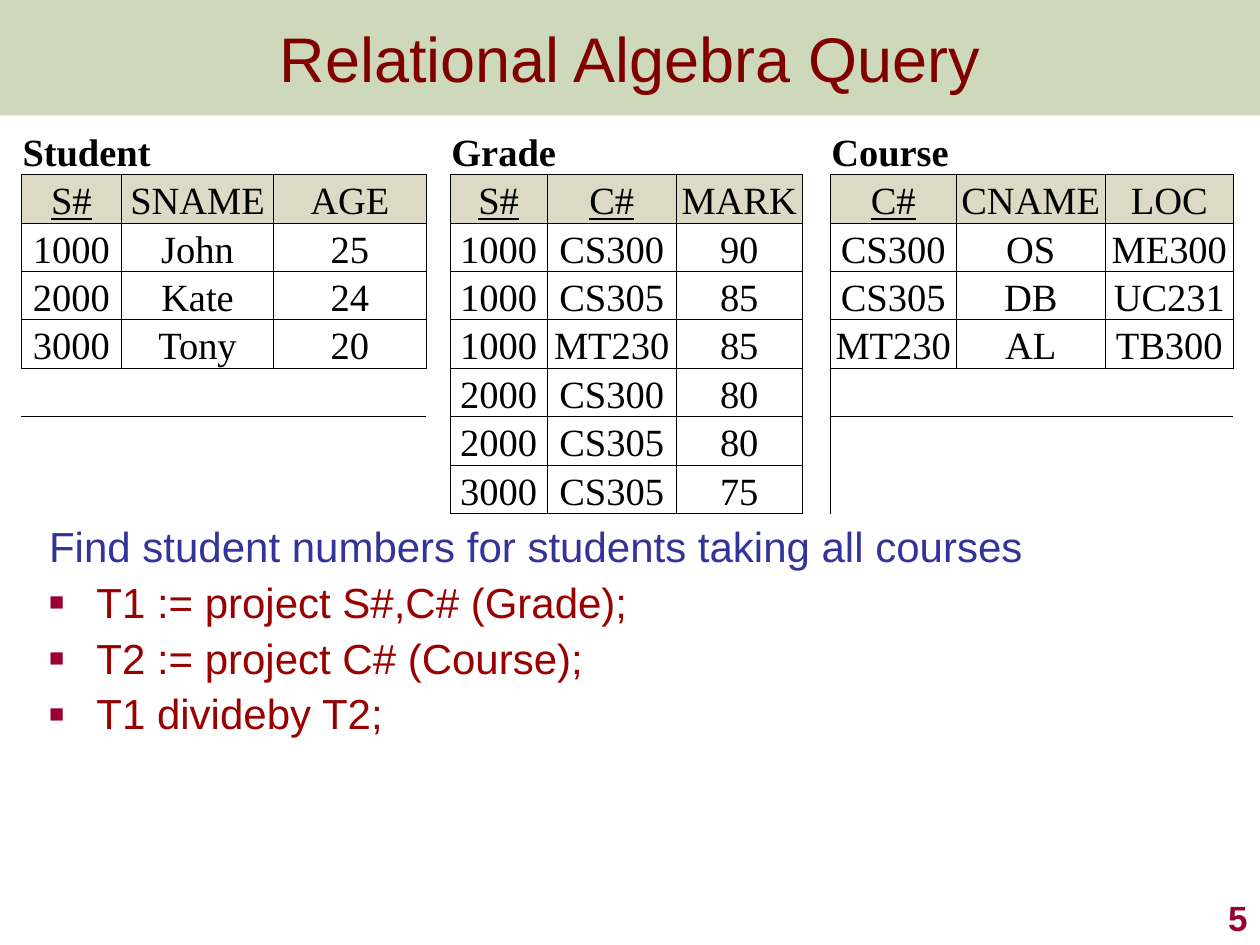
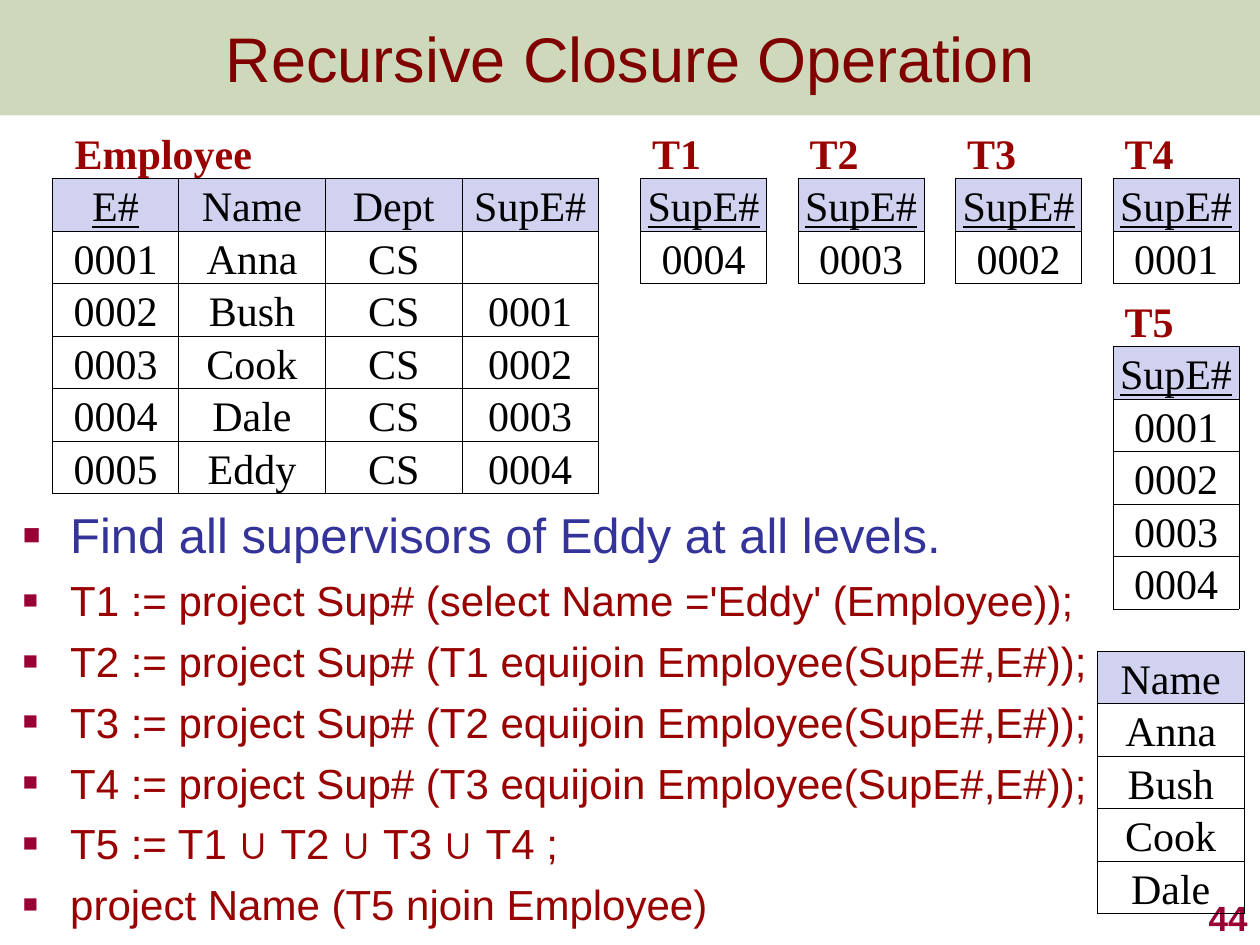
from dataclasses import dataclass

from pptx import Presentation
from pptx.dml.color import RGBColor
from pptx.enum import shapes, text
from pptx.oxml import ns, xmlchemy
from pptx.util import Pt

# Shared look
SANS, SERIF = "Arial", "Times New Roman"
BLACK, NAVY, DARK_RED = "000000", "333399", "990000"
TITLE_RED, ACCENT, BAND_GREEN = "800000", "990033", "5F8422"
BAND_OPACITY = 30
PLAIN_STYLE = "{2D5ABB26-0587-4C30-8999-92F81FD0307C}"
SIDES = {"lnL": (0, -1), "lnR": (0, 1), "lnT": (-1, 0), "lnB": (1, 0)}
HANGING = 27


@dataclass
class Relation:
    """A named relation: its header and tuples, with leading key columns."""
    label: str
    widths: list
    rows: list
    keys: int = 1


@dataclass
class Look:
    size: float
    row_height: float
    header_fill: str
    label_color: str
    label_indent: float = 0


def rgb(hex_color):
    return RGBColor.from_string(hex_color)


def add_xml(parent, tag, **attributes):
    child = xmlchemy.OxmlElement(tag)
    for key, value in attributes.items():
        child.set(key, str(value))
    parent.append(child)
    return child


def style(font, size, color, name=SANS, bold=False):
    font.size, font.name, font.bold = Pt(size), name, bold
    font.color.rgb = rgb(color)


def place(box):
    return [Pt(length) for length in box]


# Title band and slide number
def add_title(slide, title):
    band = slide.shapes.add_shape(shapes.MSO_SHAPE.RECTANGLE, *place((0, 0, 720, 66)))
    band.shadow.inherit = False
    band.line.fill.background()
    band.fill.solid()
    band.fill.fore_color.rgb = rgb(BAND_GREEN)
    tint = band.fill._xPr.find(".//" + ns.qn("a:srgbClr"))
    add_xml(tint, "a:alpha", val=BAND_OPACITY * 1000)
    frame = band.text_frame
    frame.vertical_anchor = text.MSO_ANCHOR.MIDDLE
    heading = frame.paragraphs[0]
    heading.text, heading.alignment = title, text.PP_ALIGN.CENTER
    style(heading.font, 36, TITLE_RED)


def add_number(slide, number):
    frame = slide.shapes.add_textbox(*place((570, 504, 150, 36))).text_frame
    frame.word_wrap = True
    frame.vertical_anchor = text.MSO_ANCHOR.BOTTOM
    footer = frame.paragraphs[0]
    footer.text, footer.alignment = str(number), text.PP_ALIGN.RIGHT
    style(footer.font, 20, ACCENT, bold=True)


# Question followed by the algebra steps
def add_query(slide, box, question, steps, question_size=24, spacing=1.0, bullet_question=True):
    frame = slide.shapes.add_textbox(*place(box)).text_frame
    frame.word_wrap = True
    frame.margin_right = 0
    for index, line in enumerate([question, *steps]):
        paragraph = frame.paragraphs[0] if index == 0 else frame.add_paragraph()
        paragraph.line_spacing = spacing
        if index:
            paragraph.space_before = Pt(6)
        props = paragraph._p.get_or_add_pPr()
        props.set("marL", str(Pt(HANGING)))
        props.set("indent", str(-Pt(HANGING)))
        if index or bullet_question:
            add_xml(add_xml(props, "a:buClr"), "a:srgbClr", val=ACCENT)
            add_xml(props, "a:buSzPct", val=60000)
            add_xml(props, "a:buFont", typeface=SANS)
            add_xml(props, "a:buChar", char="■")
        style(paragraph.font, *((24, DARK_RED) if index else (question_size, NAVY)))
        # Union signs are bold
        for part_index, part in enumerate(line.split("∪ ")):
            if part_index:
                union = paragraph.add_run()
                union.text, union.font.bold = "∪ ", True
            paragraph.add_run().text = part


# Relations side by side in one table, separated by empty columns
def add_relations(slide, left, top, relations, look, gaps=()):
    labelled = int(bool(relations[0].label))
    widths, starts = [], []
    for index, relation in enumerate(relations):
        if index:
            widths.append(gaps[index - 1])
        starts.append(len(widths))
        widths += relation.widths
    row_count = labelled + max(len(relation.rows) for relation in relations)
    box = (left, top, sum(widths), row_count * look.row_height)
    graphic = slide.shapes.add_table(row_count, len(widths), *place(box))
    table = graphic.table
    table._tbl.tblPr.find(ns.qn("a:tableStyleId")).text = PLAIN_STYLE
    for column, width in zip(table.columns, widths):
        column.width = Pt(width)
    for row in table.rows:
        row.height = Pt(look.row_height)

    entries = {(labelled + r, start + c): (value, r == 0, c < relation.keys)
               for start, relation in zip(starts, relations)
               for r, values in enumerate(relation.rows)
               for c, value in enumerate(values)}
    for r in range(row_count):
        for c in range(len(widths)):
            cell = table.cell(r, c)
            value, is_header, is_key = entries.get((r, c), ("", False, False))
            fill_cell(cell, value, look)
            add_borders(cell, r, c, entries)
            if is_header:
                cell.fill.solid()
                cell.fill.fore_color.rgb = rgb(look.header_fill)
                cell.text_frame.paragraphs[0].font.underline = is_key
            else:
                cell.fill.background()

    if labelled:
        for start, relation in zip(starts, relations):
            name = table.cell(0, start)
            if len(relation.widths) > 1:
                name.merge(table.cell(0, start + len(relation.widths) - 1))
            name.margin_left = Pt(0.7 + look.label_indent)
            caption = name.text_frame.paragraphs[0]
            caption.text, caption.alignment = relation.label, text.PP_ALIGN.LEFT
            style(caption.font, look.size, look.label_color, SERIF, bold=True)


def fill_cell(cell, value, look):
    cell.margin_left = cell.margin_right = cell.margin_top = Pt(0.7)
    cell.margin_bottom = 0
    cell.vertical_anchor = text.MSO_ANCHOR.BOTTOM
    paragraph = cell.text_frame.paragraphs[0]
    paragraph.alignment = text.PP_ALIGN.CENTER
    if value:
        paragraph.text = value
    style(paragraph.font, look.size, BLACK, SERIF)


def add_borders(cell, r, c, framed):
    """Draw each edge that touches a relation's grid."""
    props = cell._tc.get_or_add_tcPr()
    for side, (down, right) in SIDES.items():
        if (r, c) in framed or (r + down, c + right) in framed:
            line = add_xml(props, "a:" + side, w=Pt(0.5))
            add_xml(add_xml(line, "a:solidFill"), "a:srgbClr", val=BLACK)


def new_slide(deck, title, number):
    slide = deck.slides.add_slide(deck.slide_layouts[6])
    add_title(slide, title)
    add_number(slide, number)
    return slide


def build_division(deck):
    slide = new_slide(deck, "Relational Algebra Query", 5)
    add_query(slide, (21, 297, 653, 156),
              "Find student numbers for students taking all courses",
              ["T1 := project S#,C# (Grade);",
               "T2 := project C# (Course);",
               "T1 divideby T2;"],
              spacing=0.9, bullet_question=False)
    student = Relation("Student", [57.2, 87, 87.2], [
        ("S#", "SNAME", "AGE"),
        ("1000", "John", "25"),
        ("2000", "Kate", "24"),
        ("3000", "Tony", "20")])
    grade = Relation("Grade", [55.4, 73.8, 72], [
        ("S#", "C#", "MARK"),
        ("1000", "CS300", "90"),
        ("1000", "CS305", "85"),
        ("1000", "MT230", "85"),
        ("2000", "CS300", "80"),
        ("2000", "CS305", "80"),
        ("3000", "CS305", "75")], keys=2)
    course = Relation("Course", [72, 85.2, 73.2], [
        ("C#", "CNAME", "LOC"),
        ("CS300", "OS", "ME300"),
        ("CS305", "DB", "UC231"),
        ("MT230", "AL", "TB300")])
    add_relations(slide, 12.2, 72, [student, grade, course],
                  Look(22, 27.7, "DDD9C4", BLACK), gaps=(13.7, 16))


def build_closure(deck):
    slide = new_slide(deck, "Recursive Closure Operation", 44)
    joins = [f"T{n} := project Sup# (T{n - 1} equijoin Employee(SupE#,E#));" for n in (2, 3, 4)]
    add_query(slide, (6, 285, 696, 255),
              "Find all supervisors of Eddy at all levels.",
              ["T1 := project Sup# (select Name ='Eddy' (Employee));",
               *joins,
               "T5 := T1 ∪ T2 ∪ T3 ∪ T4 ;",
               "project Name (T5 njoin Employee)"],
              question_size=28)

    # Employee relation
    names = ["Anna", "Bush", "Cook", "Dale", "Eddy"]
    ids = [f"{n:04}" for n in range(1, 6)]
    employee = Relation("Employee", [72, 84, 78, 78], [
        ("E#", "Name", "Dept", "SupE#"),
        *((key, name, "CS", boss) for key, name, boss in zip(ids, names, ["", *ids]))])
    add_relations(slide, 30, 72, [employee], Look(24, 30, "D1D1F0", DARK_RED, 12))

    # Supervisors found at each level, their union, and the final names
    level_look = Look(24, 30, "D1D1F0", DARK_RED, 6)
    levels = [(f"T{n + 1}", 366 + 90 * n, 72, [ids[3 - n]]) for n in range(4)]
    for label, left, top, found in [*levels, ("T5", 636, 168, ids[:4])]:
        level = Relation(label, [72], [("SupE#",), *((key,) for key in found)])
        add_relations(slide, left, top, [level], level_look)
    supervisors = Relation("", [84], [("Name",), *((name,) for name in names[:4])], keys=0)
    add_relations(slide, 627, 372, [supervisors], level_look)


def main():
    deck = Presentation()
    deck.slide_width, deck.slide_height = Pt(720), Pt(540)
    build_division(deck)
    build_closure(deck)
    deck.save("out.pptx")


if __name__ == "__main__":
    main()
